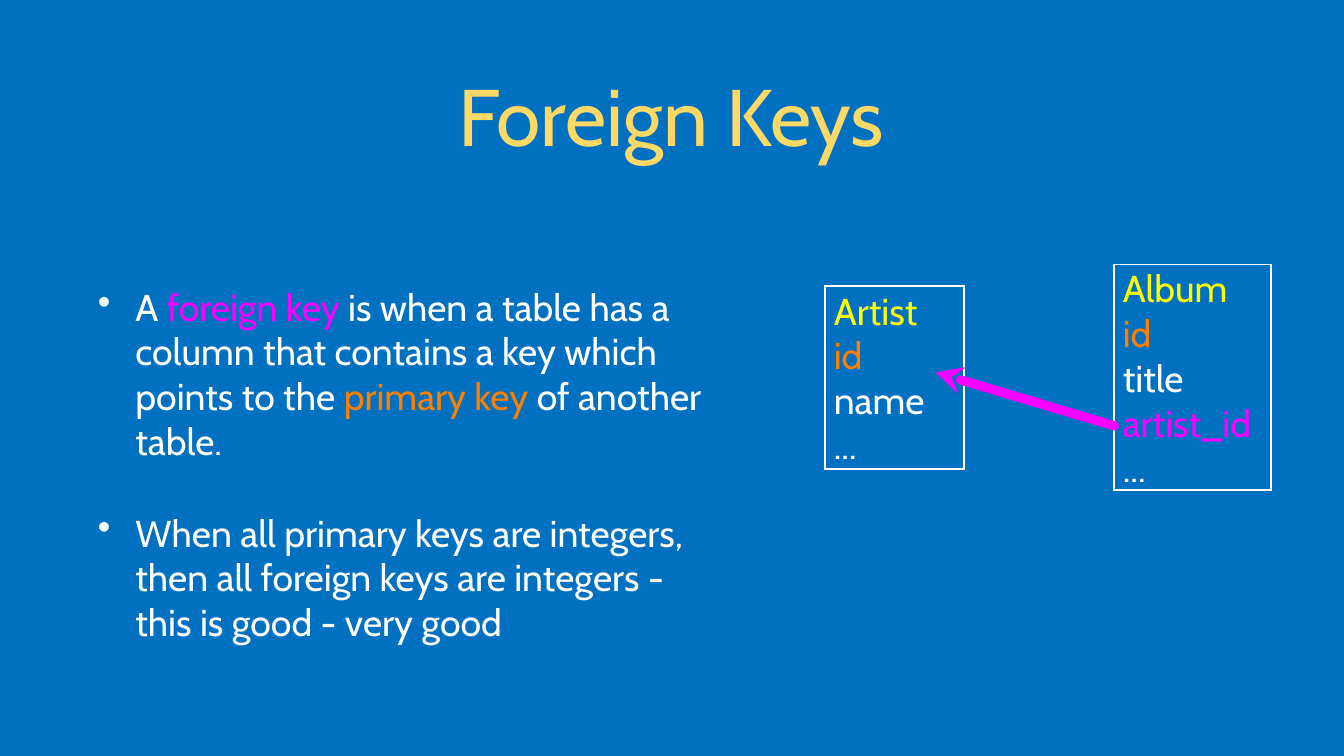
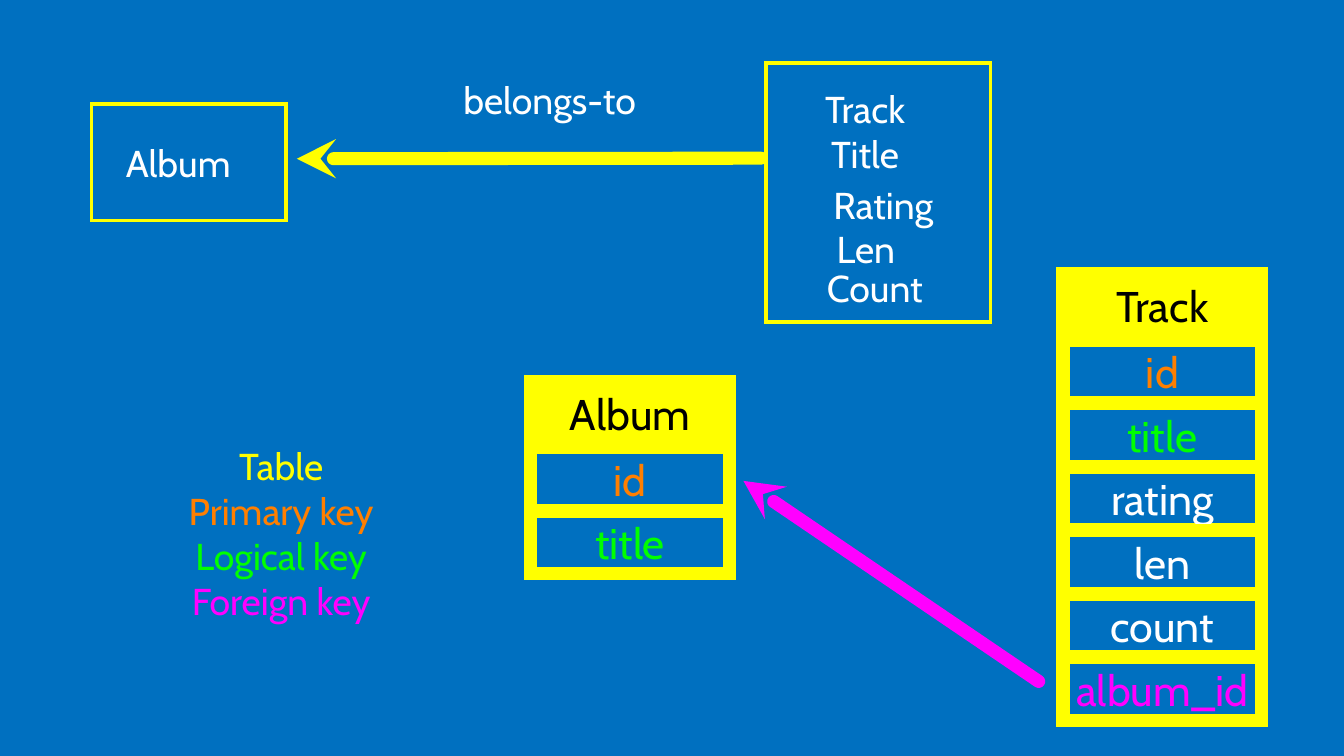
from lxml import etree
from pptx import Presentation
from pptx.dml.color import RGBColor
from pptx.enum.shapes import MSO_CONNECTOR, MSO_SHAPE
from pptx.enum.text import MSO_ANCHOR, PP_ALIGN
from pptx.oxml.ns import qn
from pptx.util import Cm, Pt

RECT = MSO_SHAPE.RECTANGLE
LINE = MSO_CONNECTOR.STRAIGHT
MIDDLE = MSO_ANCHOR.MIDDLE
LEFT, CENTER = PP_ALIGN.LEFT, PP_ALIGN.CENTER
FONT = "Cabin"
BLUE, WHITE, BLACK = "0070C0", "FFFFFF", "000000"
GOLD, YELLOW, ORANGE = "FFD966", "FFFF00", "FF7F00"
GREEN, PINK = "00FF00", "FF00FF"


def rgb(code):
    """Turn a hex string into a colour."""
    return RGBColor.from_string(code)


def lengths(*values):
    """Turn centimetres into lengths."""
    return [Cm(value) for value in values]


def add_part(parent, tag, **attrs):
    """Append an XML element with attributes."""
    return etree.SubElement(parent, qn(tag), attrs)


def add_slide(deck):
    """Add a blank slide with the blue ground."""
    slide = deck.slides.add_slide(deck.slide_layouts[6])
    slide.background.fill.solid()
    slide.background.fill.fore_color.rgb = rgb(BLUE)
    return slide


def set_frame(shape, left=0, edge=0):
    """Wrap the text, centre it in height and set its insets."""
    frame = shape.text_frame
    frame.word_wrap = True
    frame.vertical_anchor = MIDDLE
    frame.margin_left = Cm(left or edge)
    frame.margin_right = frame.margin_top = frame.margin_bottom = Cm(edge)
    return frame


def next_para(frame, index):
    """Give the first paragraph, or a new one after it."""
    return frame.add_paragraph() if index else frame.paragraphs[0]


def set_font(para, size, color=None):
    """Set the font of a whole paragraph."""
    para.font.name, para.font.size = FONT, Pt(size)
    if color:
        para.font.color.rgb = rgb(color)


def write(frame, lines, size=20, align=CENTER):
    """Write one paragraph for each text and colour."""
    for index, (text, color) in enumerate(lines):
        para = next_para(frame, index)
        para.text = text
        para.alignment = align
        set_font(para, size, color)


def add_text(slide, box, lines, size=20):
    """Add a box of centred lines."""
    shape = slide.shapes.add_textbox(*lengths(*box))
    write(set_frame(shape), lines, size)


def add_points(slide, box, points):
    """Add bulleted paragraphs made of coloured runs."""
    frame = set_frame(slide.shapes.add_textbox(*lengths(*box)), edge=0.05)
    for index, runs in enumerate(points):
        para = next_para(frame, index)
        if index:
            para.space_before, para.space_after = Pt(25), Pt(6)
        props = para._p.get_or_add_pPr()
        props.set("marL", str(Cm(0.71)))
        props.set("indent", str(-Cm(0.71)))
        tint = add_part(props, "a:buClr")
        add_part(tint, "a:srgbClr", val=WHITE)
        add_part(props, "a:buChar", char="•")
        set_font(para, 20, WHITE if len(runs) == 1 else None)
        for text, color in runs:
            run = para.add_run()
            run.text = text
            if len(runs) > 1:
                run.font.color.rgb = rgb(color)


def add_rect(slide, box, color, width, fill=None):
    """Add a sharp-cornered frame, filled or open."""
    shape = slide.shapes.add_shape(RECT, *lengths(*box))
    shape.shadow.inherit = False
    if fill:
        shape.fill.solid()
        shape.fill.fore_color.rgb = rgb(fill)
    else:
        shape.fill.background()
    shape.line.color.rgb = rgb(color)
    shape.line.width = Pt(width)
    add_part(shape._element.spPr.find(qn("a:ln")), "a:miter", lim="800000")
    return shape


def add_model(slide, box, lines):
    """Add a white frame that lists a table's columns."""
    shape = add_rect(slide, box, WHITE, 1)
    write(set_frame(shape, left=0.16), lines, align=LEFT)


def add_table_map(slide, left, top, name, fields):
    """Stack a filled head and one open cell for each field."""
    cells = [(top, name, BLACK, YELLOW)]
    cells += [(top + 1.25 + 1.2 * row, text, color, None)
              for row, (text, color) in enumerate(fields)]
    for y, text, color, fill in cells:
        shape = add_rect(slide, (left, y, 3.76, 1.19), YELLOW, 7, fill)
        write(set_frame(shape), [(text, color)], 23)


def add_arrow(slide, ends, color, width):
    """Add a round-capped line with its head at the first end."""
    link = slide.shapes.add_connector(LINE, *lengths(*ends))
    link.line.color.rgb = rgb(color)
    link.line.width = Pt(width)
    props = link._element.spPr
    stroke = props.find(qn("a:ln"))
    stroke.set("cap", "rnd")
    add_part(stroke, "a:round")
    add_part(stroke, "a:headEnd", type="stealth")
    add_part(props, "a:effectLst")


def build_keys(deck):
    """Build the slide on foreign keys."""
    slide = add_slide(deck)
    add_text(slide, (1.8, 0.38, 21.77, 3.58), [("Foreign Keys", GOLD)], 43)
    add_points(slide, (1.8, 3.84, 11.94, 9.86), [
        [("A", WHITE), (" foreign key", PINK),
         (" is when a table has a column that contains a key which "
          "points to the ", WHITE),
         ("primary key", ORANGE), (" of another table.", WHITE)],
        [("When all primary keys are integers, then all foreign keys "
          "are integers - this is good - very good", WHITE)],
    ])
    add_model(slide, (15.6, 5.41, 2.62, 3.45), [
        ("Artist", YELLOW), ("id", ORANGE), ("name", WHITE), ("...", WHITE)])
    add_model(slide, (21.06, 5, 2.97, 4.27), [
        ("Album", YELLOW), ("id", ORANGE), ("title", WHITE),
        ("artist_id", PINK), ("...", WHITE)])
    add_arrow(slide, (17.68, 7.04, 21.06, 8.05), PINK, 5)


def build_map(deck):
    """Build the slide that maps a data model to tables."""
    slide = add_slide(deck)
    add_rect(slide, (14.48, 1.19, 4.24, 4.9), YELLOW, 2)
    add_rect(slide, (1.73, 1.96, 3.68, 2.21), YELLOW, 2)
    add_arrow(slide, (5.61, 3, 14.38, 2.99), YELLOW, 7)
    labels = [
        ("Album", 2.14, 2.59, 2.46), ("belongs-to", 8.41, 1.4, 3.96),
        ("Track", 15.27, 1.57, 2.16), ("Title", 15.4, 2.41, 1.9),
        ("Rating", 15.44, 3.38, 2.51), ("Len", 15.55, 4.22, 1.63),
        ("Count", 15.52, 4.95, 2.03),
    ]
    for text, left, top, width in labels:
        add_text(slide, (left, top, width, 0.97), [(text, WHITE)])
    shared = [("id", ORANGE), ("title", GREEN)]
    add_table_map(slide, 10.03, 7.21, "Album", shared)
    add_table_map(slide, 20.09, 5.18, "Track", shared + [
        ("rating", WHITE), ("len", WHITE), ("count", WHITE),
        ("album_id", PINK)])
    add_arrow(slide, (14.05, 9.09, 19.63, 12.88), PINK, 7)
    add_text(slide, (2.84, 8.38, 4.95, 3.4), [
        ("Table", YELLOW), ("Primary key", ORANGE),
        ("Logical key", GREEN), ("Foreign key", PINK)])


def main():
    """Build and save the deck."""
    deck = Presentation()
    deck.slide_width, deck.slide_height = lengths(25.4, 14.29)
    build_keys(deck)
    build_map(deck)
    deck.save("out.pptx")


if __name__ == "__main__":
    main()
